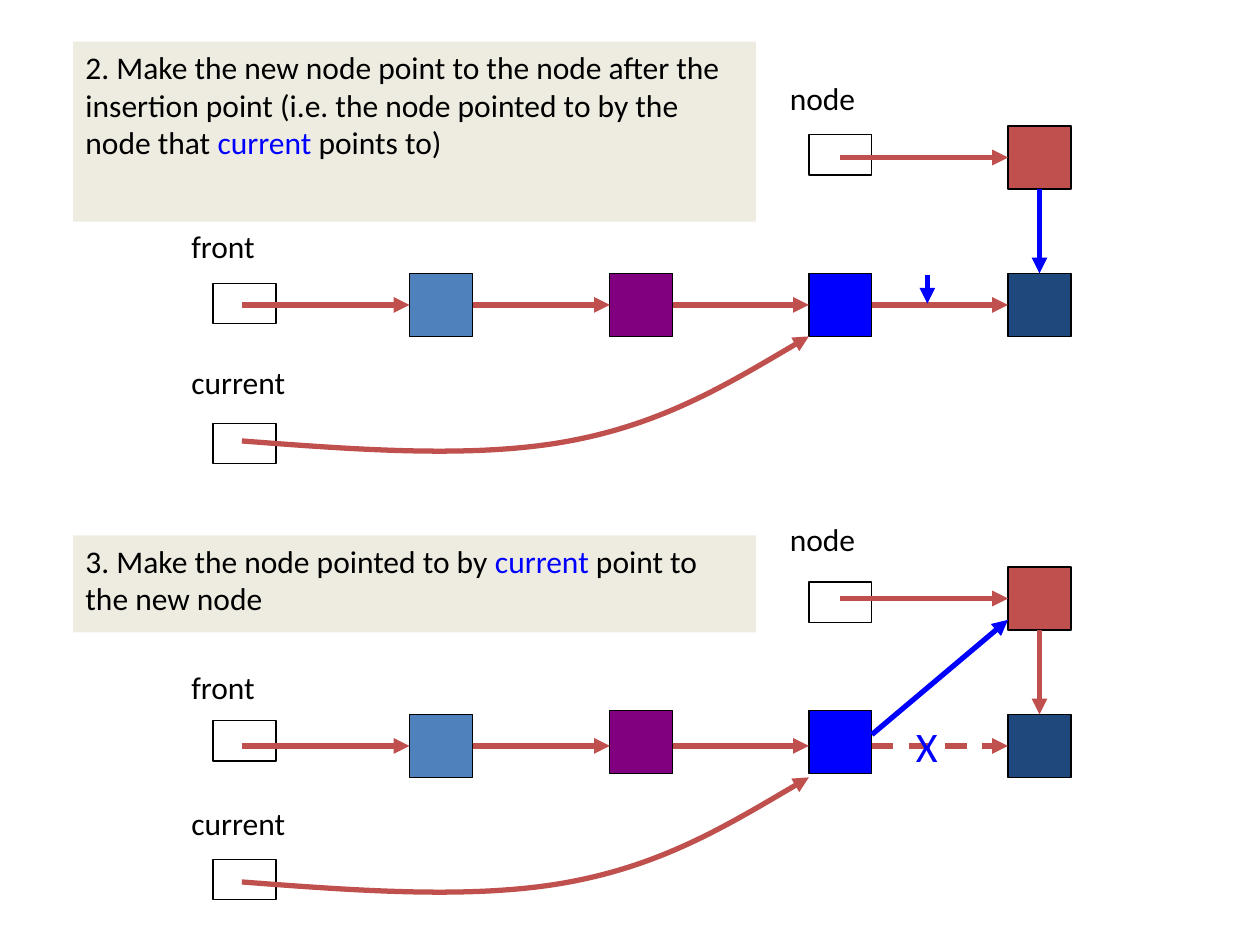
from dataclasses import dataclass
from lxml.etree import SubElement
from pptx import Presentation
from pptx.dml.color import RGBColor
from pptx.enum.dml import MSO_LINE_DASH_STYLE as Dash
from pptx.enum.shapes import MSO_CONNECTOR as Connector, MSO_SHAPE as Shape
from pptx.enum.text import MSO_ANCHOR as Anchor, PP_ALIGN as Align
from pptx.oxml.ns import qn
from pptx.util import Inches, Pt


@dataclass(frozen=True)
class Theme:
    font: str = "Calibri"
    body: int = 18
    mark: int = 24
    outline: float = 0.75
    arrow: float = 3
    black: str = "000000"
    accent: str = "0000FF"
    red: str = "C0504D"
    light_blue: str = "4F81BD"
    purple: str = "800080"
    navy: str = "1F497D"
    cream: str = "EEECE1"


def write(frame, text, *, font, size, color, highlight=None, highlight_color=None):
    frame.word_wrap = True
    frame.vertical_anchor = Anchor.TOP
    para = frame.paragraphs[0]
    para.alignment = Align.LEFT
    before, match, after = text.partition(highlight) if highlight else (text, "", "")
    for words, tint in ((before, color), (match, highlight_color), (after, color)):
        if words:
            span = para.add_run()
            span.text = words
            span.font.name = font
            span.font.size = Pt(size)
            span.font.color.rgb = RGBColor.from_string(tint)


class Diagram:
    node_size = 0.5

    def __init__(self, slide, theme):
        self.shapes = slide.shapes
        self.theme = theme

    def box(self, left, top, width, height, fill=None, outlined=True):
        box = self.shapes.add_shape(
            Shape.RECTANGLE, Inches(left), Inches(top), Inches(width), Inches(height))
        box.shadow.inherit = False
        if fill:
            box.fill.solid()
            box.fill.fore_color.rgb = RGBColor.from_string(fill)
        else:
            box.fill.background()
        if outlined:
            box.line.color.rgb = RGBColor.from_string(self.theme.black)
            box.line.width = Pt(self.theme.outline)
        else:
            box.line.fill.background()
        return box

    def node(self, left, top, fill):
        return self.box(left, top, self.node_size, self.node_size, fill)

    def slot(self, left, top):
        return self.box(left, top, 0.5, 0.32)

    def caption(self, top, height, text):
        box = self.box(0.58, top, 5.42, height, self.theme.cream, outlined=False)
        write(box.text_frame, text, font=self.theme.font, size=self.theme.body,
              color=self.theme.black, highlight="current",
              highlight_color=self.theme.accent)

    def label(self, left, top, width, height, text, size=None, color=None):
        box = self.shapes.add_textbox(
            Inches(left), Inches(top), Inches(width), Inches(height))
        write(box.text_frame, text, font=self.theme.font,
              size=size or self.theme.body, color=color or self.theme.black)

    def arrow_style(self, line, color):
        line.color.rgb = RGBColor.from_string(color)
        line.width = Pt(self.theme.arrow)
        SubElement(line._get_or_add_ln(), qn("a:tailEnd"), type="triangle")

    def arrow(self, start, end, color=None, begin=None, finish=None, dashed=False):
        link = self.shapes.add_connector(Connector.STRAIGHT, *map(Inches, start + end))
        if begin:
            link.begin_connect(*begin)
        if finish:
            link.end_connect(*finish)
        if dashed:
            link.line.dash_style = Dash.DASH
        self.arrow_style(link.line, color or self.theme.red)
        SubElement(link._element.spPr, qn("a:effectLst"))

    def curved_arrow(self, start, controls):
        builder = self.shapes.build_freeform(*map(Inches, start), scale=1.0)
        builder.add_line_segments(
            [(Inches(x), Inches(y)) for x, y in controls], close=False)
        curve = builder.convert_to_shape()
        curve.shadow.inherit = False
        curve.fill.background()
        self.arrow_style(curve.line, self.theme.red)
        outline = next(curve._element.iter(qn("a:path")))
        segments = outline.findall(qn("a:lnTo"))
        for first in range(0, len(segments), 3):
            bezier = SubElement(outline, qn("a:cubicBezTo"))
            for segment in segments[first:first + 3]:
                bezier.append(segment[0])
                outline.remove(segment)

    def linked_list(self, top, slot_tops, middle_top, node_arrow, next_dashed):
        theme = self.theme
        row_top, row_y, new_y = top + 2.17, top + 2.42, top + 1.25
        for left, slot_top in zip((6.42, 1.69, 1.69), slot_tops):
            self.slot(left, slot_top)
        for text, left, offset, width in (
                ("node", 6.17, 0.58, 1), ("front", 1.42, 1.75, 1),
                ("current", 1.42, 2.83, 1.33)):
            self.label(left, top + offset, width, 0.43, text)

        new_node = self.node(8, top + 1, theme.red)
        lefts = (3.25, 4.84, 6.42, 8)
        tops = (row_top, middle_top, middle_top, row_top)
        fills = (theme.light_blue, theme.purple, theme.accent, theme.navy)
        nodes = [self.node(*place) for place in zip(lefts, tops, fills)]

        def joint(node, site):
            return (node, site) if node.top == Inches(row_top) else None

        self.arrow((6.67, new_y), (8, new_y), finish=(new_node, 1))
        self.arrow((1.92, row_y), (lefts[0], row_y), finish=joint(nodes[0], 1))
        for index in range(3):
            self.arrow((lefts[index] + self.node_size, row_y), (lefts[index + 1], row_y),
                       begin=joint(nodes[index], 3), finish=joint(nodes[index + 1], 1),
                       dashed=next_dashed and index == 2)
        self.arrow((8.25, top + 1.5), (8.25, row_top), node_arrow,
                   begin=(new_node, 2), finish=(nodes[3], 0))
        self.curved_arrow((1.92, top + 3.5), [
            (x, top + y) for x, y in (
                (2.84, 3.57), (3.77, 3.64), (4.52, 3.5),
                (5.27, 3.36), (5.84, 3.01), (6.42, 2.67))])


def main():
    deck = Presentation()
    deck.slide_width, deck.slide_height = Inches(10), Inches(7.5)
    theme = Theme()
    diagram = Diagram(deck.slides.add_slide(deck.slide_layouts[6]), theme)

    diagram.caption(0.33, 1.43, "2. Make the new node point to the node after the "
                    "insertion point (i.e. the node pointed to by the node that "
                    "current points to)")
    diagram.linked_list(0, (1.07, 2.25, 3.36), 2.17, theme.accent, next_dashed=False)
    diagram.arrow((7.36, 2.18), (7.36, 2.41), theme.accent)

    diagram.caption(4.25, 0.77,
                    "3. Make the node pointed to by current point to the new node")
    diagram.linked_list(3.5, (4.62, 5.72, 6.82), 5.64, theme.red, next_dashed=True)
    diagram.arrow((6.92, 5.83), (8, 4.92), theme.accent)
    diagram.label(7.17, 5.67, 0.5, 0.5, "X", theme.mark, theme.accent)

    deck.save("out.pptx")


if __name__ == "__main__":
    main()
